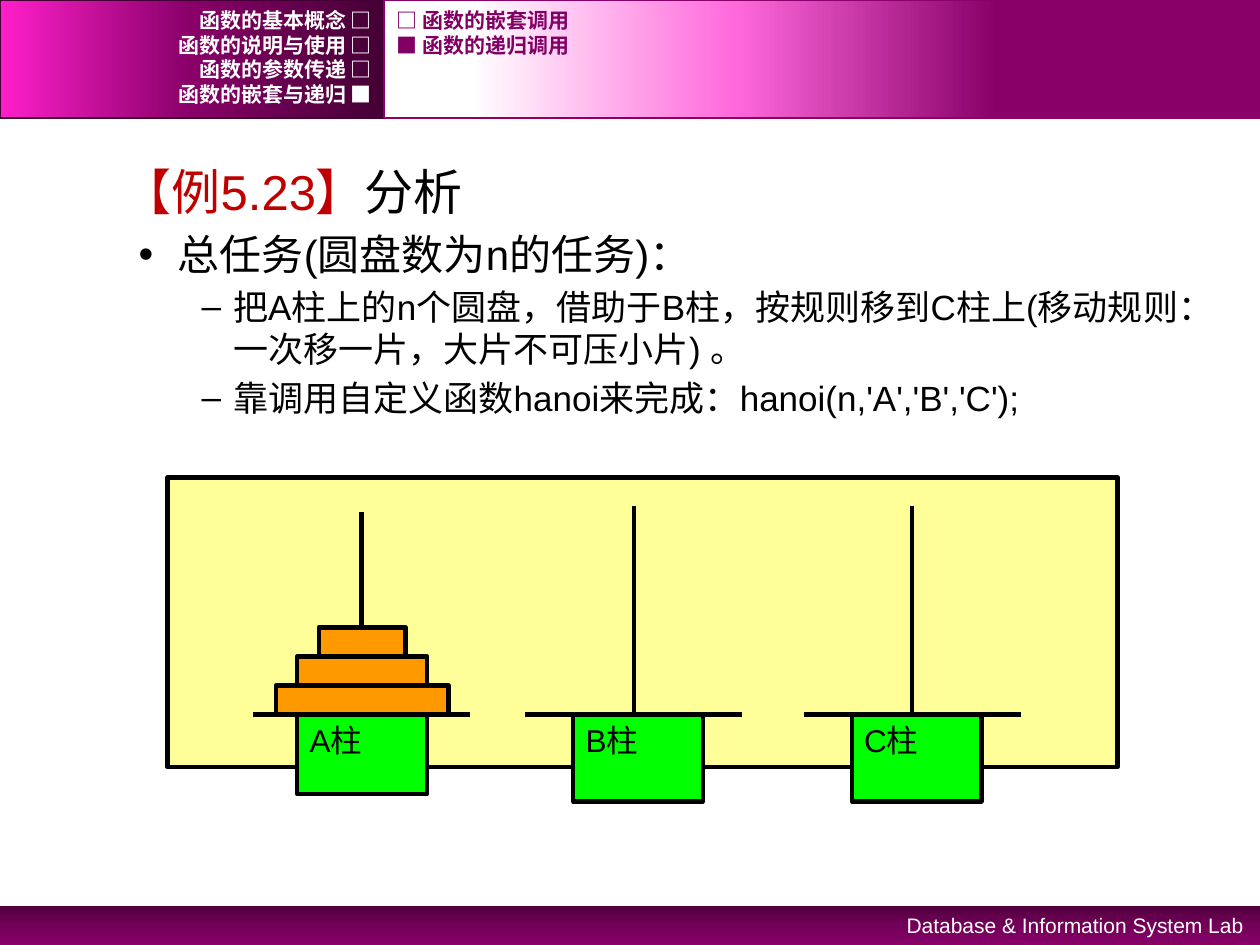
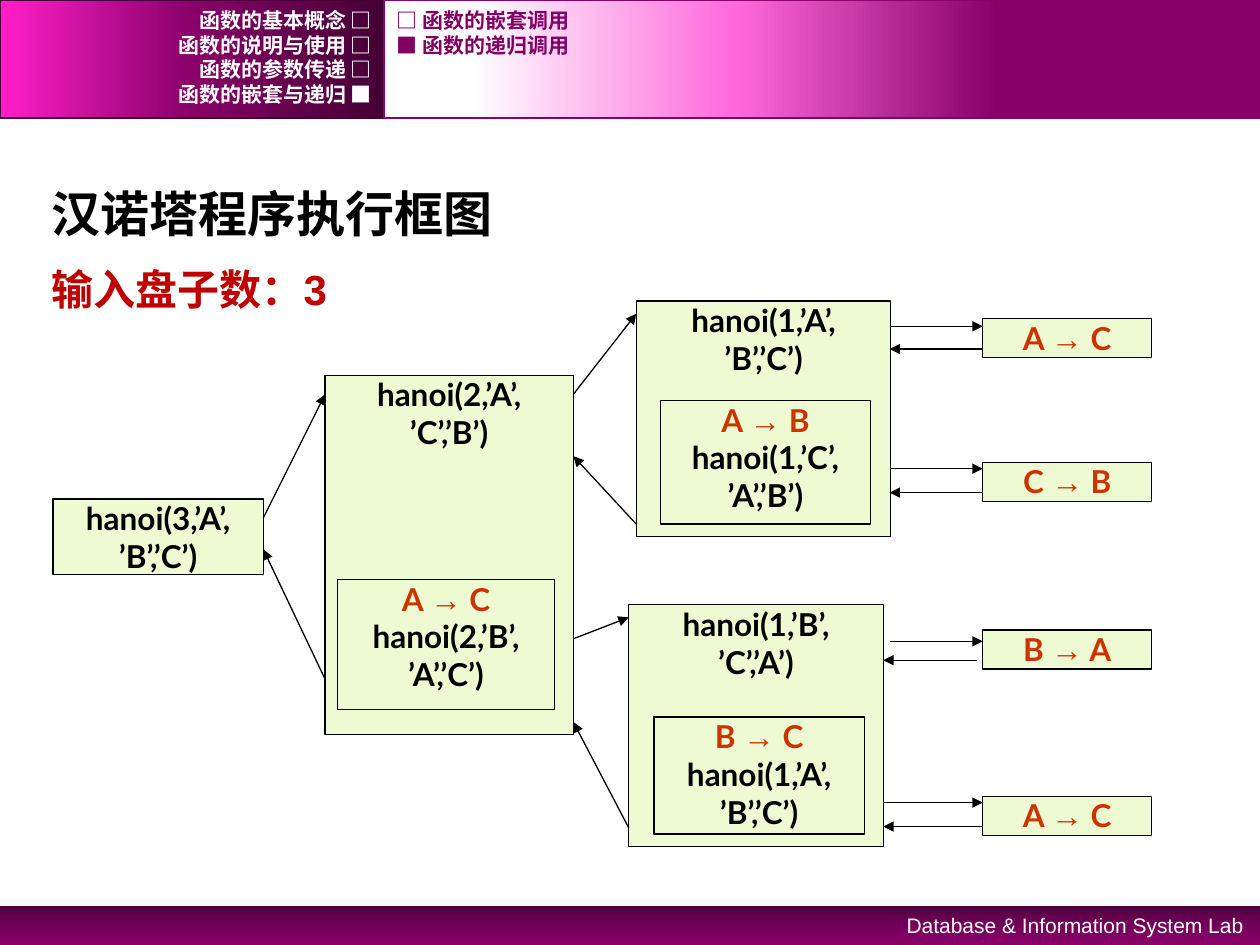
from dataclasses import dataclass

from lxml.etree import SubElement
from pptx import Presentation
from pptx.dml.color import RGBColor
from pptx.enum.shapes import MSO_CONNECTOR, MSO_SHAPE
from pptx.enum.text import MSO_ANCHOR, MSO_AUTO_SIZE, PP_ALIGN
from pptx.oxml.ns import qn
from pptx.util import Pt

SCALE = 9144  # EMU in one px, 100 px to the inch
TITLE_AND_CONTENT, TITLE_ONLY = 1, 5
ARROW = "→"


def px(n):
    return round(n * SCALE)


def rgb(code):
    return RGBColor.from_string(code)


@dataclass(frozen=True)
class Type:
    size: int
    color: str
    font: str = "Arial"
    bold: bool = False


@dataclass(frozen=True)
class Theme:
    ink: str = "000000"
    board: str = "FFFF99"
    block: str = "00FF00"
    disc: str = "FF9900"
    call_fill: str = "EDFAD2"
    left_edge: str = "440034"
    right_edge: str = "880068"
    footer_stops: tuple = ((0, "51003E"), (50, "730058"), (100, "880068"))
    left_stops: tuple = ((0, "440034"), (50, "880068"), (100, "FF1FCA"))
    right_stops: tuple = ((30, "880068"), (60, "FF69DC"), (90, "FFFFFF"))
    thick: float = 2.5
    thin: float = 0.75
    footer: Type = Type(12, "FFFFFF")
    chapter: Type = Type(12, "FFFFFF", "Courier New", True)
    section: Type = Type(12, "820064", "Courier New", True)
    example: Type = Type(28, "C00000")
    topic: Type = Type(28, "000000")
    task: Type = Type(24, "000000")
    detail: Type = Type(20, "000000")
    title: Type = Type(28, "000000", bold=True)
    subtitle: Type = Type(24, "C00000", bold=True)
    peg: Type = Type(18, "000000")
    call: Type = Type(18, "000000", "Lato", True)
    move: Type = Type(18, "CC3300", "Lato", True)
    arrow: Type = Type(18, "CC3300", "Arial", True)


class Deck:
    """Holds the theme and the slide that is being drawn."""

    def __init__(self, theme):
        self.theme = theme
        self.prs = Presentation()
        self.prs.slide_width, self.prs.slide_height = px(1000), px(750)
        self.s = None

    def new_slide(self, layout):
        self.s = self.prs.slides.add_slide(self.prs.slide_layouts[layout])
        self.bands()
        return self.s

    def add_runs(self, p, *pieces):
        """Add (text, type) pieces to a paragraph, one run each."""
        for text, kind in pieces:
            r = p.add_run()
            r.text = text
            r.font.size, r.font.bold = Pt(kind.size), kind.bold
            r.font.name = kind.font
            r.font.color.rgb = rgb(kind.color)

    def rect(self, x, y, w, h, fill=None, edge=None, weight=1):
        sp = self.s.shapes.add_shape(MSO_SHAPE.RECTANGLE, px(x), px(y), px(w), px(h))
        sp.shadow.inherit = False
        if fill:
            sp.fill.solid()
            sp.fill.fore_color.rgb = rgb(fill)
        if edge:
            sp.line.color.rgb = rgb(edge)
            sp.line.width = Pt(weight)
        else:
            sp.line.fill.background()
        sp.text_frame.vertical_anchor = MSO_ANCHOR.TOP
        return sp

    def gradient_band(self, x, y, w, h, stops, angle, edge=None):
        """Draw a gradient rectangle; the angle runs clockwise."""
        sp = self.rect(x, y, w, h, edge=edge)
        sp.fill.gradient()
        sp.fill.gradient_angle = 360 - angle
        stop_list = sp._element.spPr.find(qn("a:gradFill")).find(qn("a:gsLst"))
        stop_list.clear()
        for percent, color in stops:
            gs = SubElement(stop_list, qn("a:gs"), pos=str(percent * 1000))
            SubElement(gs, qn("a:srgbClr"), val=color)

    def label(self, x, y, w, h, text, kind, align=PP_ALIGN.LEFT, anchor=MSO_ANCHOR.MIDDLE):
        tf = self.s.shapes.add_textbox(px(x), px(y), px(w), px(h)).text_frame
        tf.word_wrap, tf.vertical_anchor = True, anchor
        p = tf.paragraphs[0]
        p.alignment = align
        self.add_runs(p, (text, kind))

    def line(self, x1, y1, x2, y2, weight, arrow=False):
        cn = self.s.shapes.add_connector(
            MSO_CONNECTOR.STRAIGHT, px(x1), px(y1), px(x2), px(y2))
        cn.line.color.rgb = rgb(self.theme.ink)
        cn.line.width = Pt(weight)
        spPr = cn._element.spPr
        if arrow:
            SubElement(spPr.find(qn("a:ln")), qn("a:tailEnd"), type="triangle")
        SubElement(spPr, qn("a:effectLst"))

    def bands(self):
        t = self.theme
        self.gradient_band(0, 719, 1000, 31, t.footer_stops, 90)
        self.gradient_band(0, 0, 305, 94, t.left_stops, 180, t.left_edge)
        self.gradient_band(305, 0, 695, 94, t.right_stops, 180, t.right_edge)
        self.label(642, 719, 355, 30, "Database & Information System Lab",
                   t.footer, PP_ALIGN.RIGHT, MSO_ANCHOR.TOP)
        row_tops = (6, 26, 45, 65)
        chapters = ("函数的基本概念 □", "函数的说明与使用 □",
                    "函数的参数传递 □", "函数的嵌套与递归 ■")
        sections = ("□ 函数的嵌套调用", "■ 函数的递归调用")
        for y, chapter in zip(row_tops, chapters):
            self.label(0, y, 305, 20, chapter, t.chapter, PP_ALIGN.RIGHT)
        for y, section in zip(row_tops, sections):
            self.label(305, y, 602, 20, section, t.section)

    def fill_placeholder(self, sp, box, paragraphs):
        """Move a placeholder, add its paragraphs and return them."""
        sp.left, sp.top, sp.width, sp.height = map(px, box)
        tf = sp.text_frame
        tf.auto_size, tf.vertical_anchor = MSO_AUTO_SIZE.NONE, MSO_ANCHOR.TOP
        for i, pieces in enumerate(paragraphs):
            p = tf.add_paragraph() if i else tf.paragraphs[0]
            p.alignment = PP_ALIGN.LEFT
            self.add_runs(p, *pieces)
        return tf.paragraphs

    def call_box(self, x, y, w, h, *lines):
        """Draw a box of centred lines; a line with an arrow is a disc move."""
        t = self.theme
        tf = self.rect(x, y, w, h, t.call_fill, t.ink, t.thin).text_frame
        tf.margin_left = tf.margin_right = tf.margin_top = tf.margin_bottom = 0
        for i, text in enumerate(lines):
            p = tf.add_paragraph() if i else tf.paragraphs[0]
            p.alignment = PP_ALIGN.CENTER
            if ARROW in text:
                source, arrow, target = text.partition(ARROW)
                self.add_runs(p, (source, t.move), (arrow, t.arrow), (target, t.move))
            else:
                self.add_runs(p, (text, t.call))

    def peg(self, name, x, top, bottom, block_left, block_height):
        t = self.theme
        base = 567
        sp = self.rect(block_left, base, 103, block_height, t.block, t.ink, t.thick)
        p = sp.text_frame.paragraphs[0]
        p.alignment = PP_ALIGN.LEFT
        self.add_runs(p, (name, t.peg))
        self.line(x, top, x, bottom, t.thick)
        self.line(x - 86, base, x + 86, base, t.thick)


def analysis_slide(deck):
    t = deck.theme
    s = deck.new_slide(TITLE_AND_CONTENT)
    title, body = s.placeholders
    title._element.getparent().remove(title._element)
    outline = (
        (0, " ", (("【例5.23】", t.example), ("分析", t.topic))),
        (1, "•", (("总任务(圆盘数为n的任务)：", t.task),)),
        (2, "–", (("把A柱上的n个圆盘，借助于B柱，按规则移到C柱上"
                   "(移动规则：一次移一片，大片不可压小片) 。", t.detail),)),
        (2, "–", (("靠调用自定义函数hanoi来完成：hanoi(n,'A','B','C');", t.detail),)),
    )
    paragraphs = deck.fill_placeholder(
        body, (50, 123, 900, 580), [pieces for _, _, pieces in outline])
    for p, (level, bullet, _) in zip(paragraphs, outline):
        p.level = level
        SubElement(p._p.get_or_add_pPr(), qn("a:buChar"), char=bullet)

    deck.rect(133, 379, 754, 230, t.board, t.ink, t.thick)
    deck.peg("A柱", 287, 406, 556, 236, 63)
    for i in range(3):
        deck.rect(219 + 17 * i, 544 - 23 * i, 137 - 34 * i, 23, t.disc, t.ink, t.thick)
    deck.peg("B柱", 503, 402, 569, 455, 69)
    deck.peg("C柱", 724, 402, 569, 676, 69)


def execution_slide(deck):
    t = deck.theme
    s = deck.new_slide(TITLE_ONLY)
    heading = ((("汉诺塔程序执行框图", t.title),), (("输入盘子数：3", t.subtitle),))
    for p in deck.fill_placeholder(s.shapes.title, (31, 141, 374, 118), heading):
        p.space_before = Pt(0)
        before = p._p.pPr.find(qn("a:spcBef"))
        before.clear()
        SubElement(before, qn("a:spcPct"), val="50000")

    calls = (
        (42, 396, 167, 60, "hanoi(3,’A’,", "’B’,’C’)"),
        (258, 298, 197, 285, "hanoi(2,’A’,", "’C’,’B’)"),
        (505, 239, 202, 187, "hanoi(1,’A’,", "’B’,’C’)"),
        (499, 480, 202, 192, "hanoi(1,’B’,", "’C’,’A’)"),
        (268, 460, 172, 103, "A → C", "hanoi(2,’B’,", "’A’,’C’)"),
        (524, 318, 167, 98, "A → B", "hanoi(1,’C’,", "’A’,’B’)"),
        (519, 569, 167, 93, "B → C", "hanoi(1,’A’,", "’B’,’C’)"),
    )
    for call in calls:
        deck.call_box(*call)

    links = (
        (209, 411, 258, 313), (258, 539, 209, 436),
        (455, 313, 505, 249), (505, 416, 455, 362),
        (455, 507, 499, 490), (499, 657, 455, 573),
    )
    for link in links:
        deck.line(*link, t.thin, arrow=True)

    # move, box top, start and drop of the call, start and end of the return
    leaf = 780
    moves = (
        ("A → C", 253, 706, 6, leaf, 706),
        ("C → B", 367, 706, 5, leaf, 706),
        ("B → A", 500, 706, 9, 775, 701),
        ("A → C", 632, 701, 5, leaf, 701),
    )
    for move, top, call_x, drop, return_x, end_x in moves:
        deck.call_box(leaf, top, 134, 31, move)
        deck.line(call_x, top + drop, leaf, top + drop, t.thin, arrow=True)
        deck.line(return_x, top + 24, end_x, top + 24, t.thin, arrow=True)


def main():
    deck = Deck(Theme())
    analysis_slide(deck)
    execution_slide(deck)
    deck.prs.save("out.pptx")


if __name__ == "__main__":
    main()
